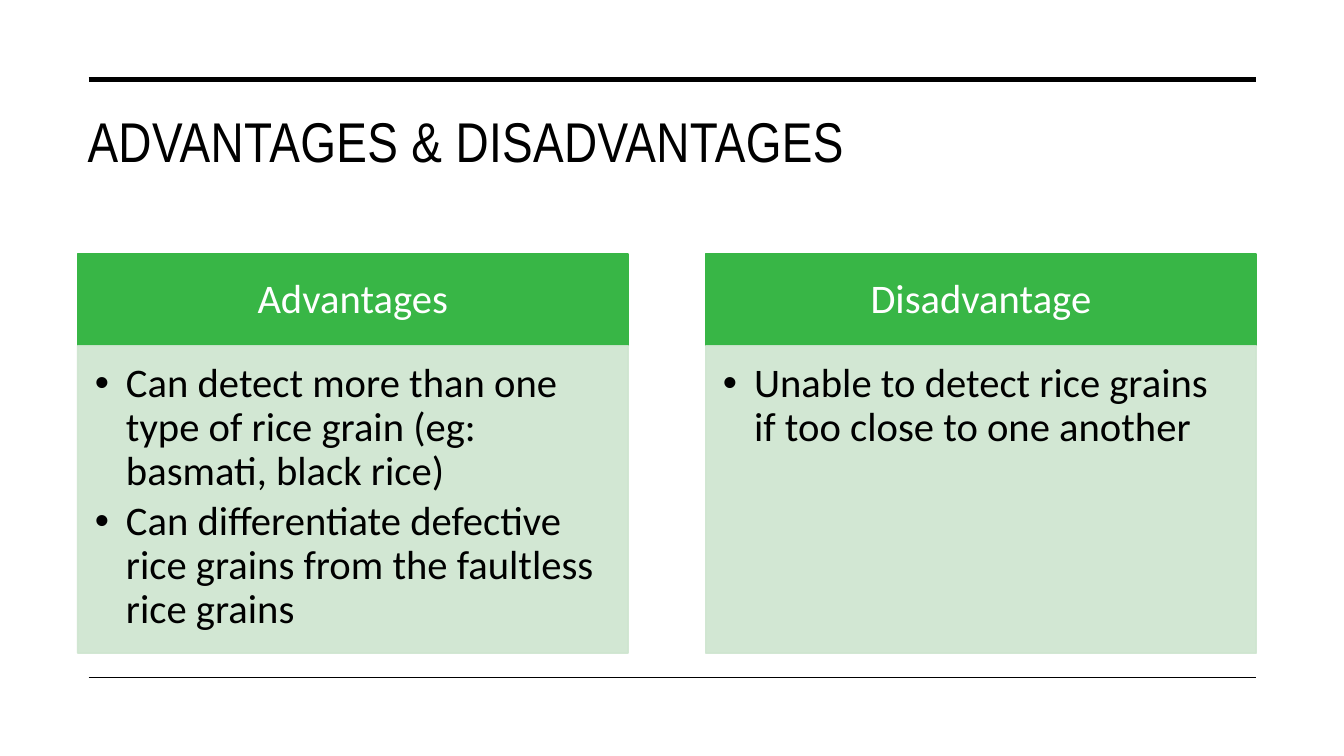
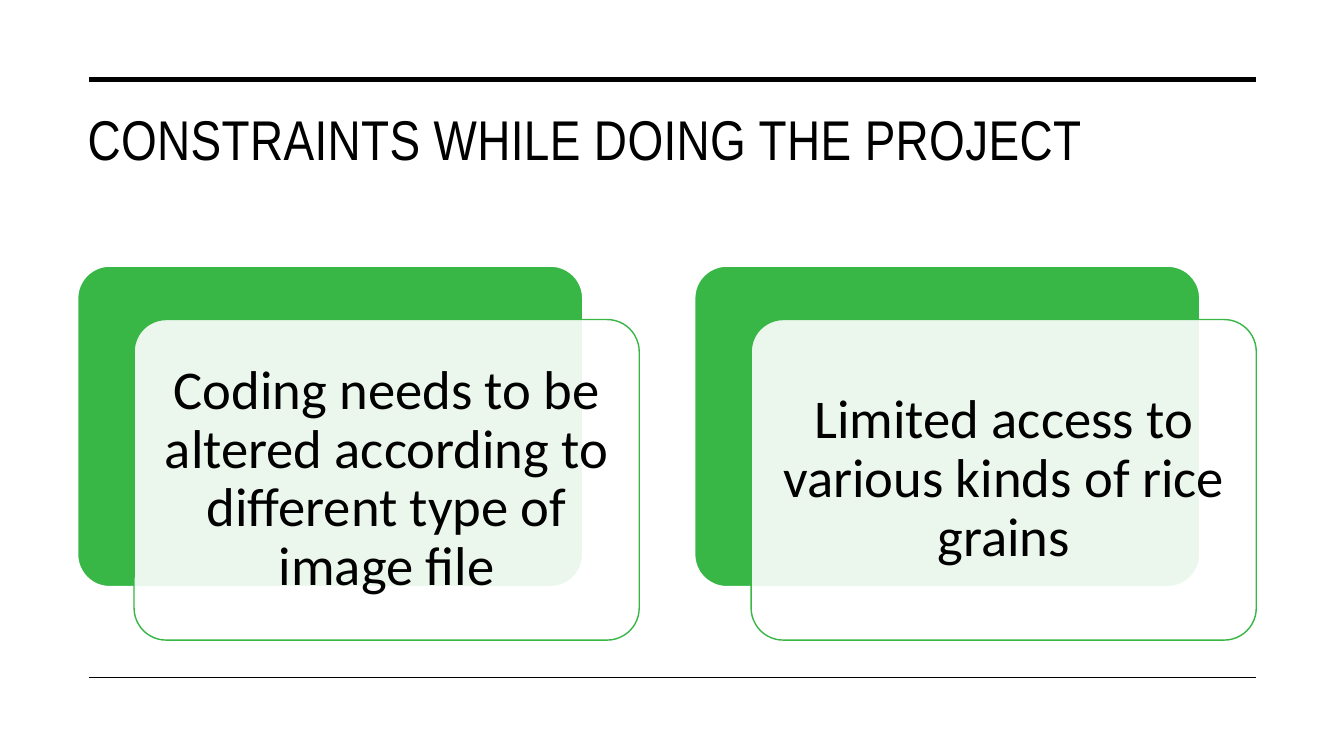
"""Build two slides on the advantages and constraints of a rice grain detector."""
import pptx
import pptx.dml.color
import pptx.enum.shapes
import pptx.enum.text
import pptx.oxml.ns
import pptx.util
from lxml import etree

Inches = pptx.util.Inches
Pt = pptx.util.Pt
qn = pptx.oxml.ns.qn
SHAPES = pptx.enum.shapes.MSO_SHAPE
ALIGN = pptx.enum.text.PP_ALIGN
ANCHOR = pptx.enum.text.MSO_ANCHOR

GREEN, PALE_GREEN, WHITE, BLACK = "38B646", "CEE5CF", "FFFFFF", "000000"
TITLE_FONT, BODY_FONT = "Arial Narrow", "Calibri"
LEFT, RIGHT = 0.77, 12.46
RULE_LEFT = 0.88
RULES = ((0.79, 3.5), (6.72, 1))
BODY_OPACITY = 90

COMPARISON = (
    ("Advantages", (
        "Can detect more than one type of rice grain (eg: basmati, black rice)",
        "Can differentiate defective rice grains from the faultless rice grains",
    )),
    ("Disadvantage", (
        "Unable to detect rice grains if too close to one another",
    )),
)
CONSTRAINTS = (
    "Coding needs to be altered according to different type of image file",
    "Limited access to various kinds of rice grains",
)


def rgb(value):
    """Turn a hex string into a colour."""
    return pptx.dml.color.RGBColor.from_string(value)


def add_rule(slide, top, weight):
    """Draw a horizontal black rule across the content width."""
    rule = slide.shapes.add_connector(
        pptx.enum.shapes.MSO_CONNECTOR.STRAIGHT,
        Inches(RULE_LEFT), Inches(top), Inches(RIGHT), Inches(top))
    rule.line.color.rgb = rgb(BLACK)
    rule.line.width = Pt(weight)
    etree.SubElement(rule._element.spPr, qn("a:effectLst"))


def set_opacity(holder, percent):
    """Make the solid fill directly inside an XML element translucent."""
    color = holder.find(qn("a:solidFill")).find(qn("a:srgbClr"))
    etree.SubElement(color, qn("a:alpha")).set("val", str(percent * 1000))


def add_panel(slide, kind, box, fill, line):
    """Add a filled preset shape with a one point outline."""
    panel = slide.shapes.add_shape(kind, *map(Inches, box))
    panel.shadow.inherit = False
    panel.fill.solid()
    panel.fill.fore_color.rgb = rgb(fill)
    panel.line.color.rgb = rgb(line)
    panel.line.width = Pt(1)
    return panel


def set_insets(frame, insets):
    """Set the left, top, right and bottom insets and wrap the text."""
    frame.word_wrap = True
    (frame.margin_left, frame.margin_top,
     frame.margin_right, frame.margin_bottom) = map(Inches, insets)


def style_runs(paragraph, font, size, color):
    """Give every run of a paragraph its font, size and colour."""
    for run in paragraph.runs:
        run.font.name = font
        run.font.size = Pt(size)
        run.font.color.rgb = rgb(color)


def write_centred(panel, text, size, color, insets):
    """Write one centred paragraph in the middle of a panel."""
    frame = panel.text_frame
    set_insets(frame, insets)
    frame.vertical_anchor = ANCHOR.MIDDLE
    frame.text = text
    paragraph = frame.paragraphs[0]
    paragraph.alignment = ALIGN.CENTER
    paragraph.line_spacing = 0.9
    style_runs(paragraph, BODY_FONT, size, color)


def write_bullets(panel, points, size):
    """Write a bulleted list from the top of a panel."""
    frame = panel.text_frame
    set_insets(frame, (0.17, 0.17, 0.23, 0.25))
    frame.vertical_anchor = ANCHOR.TOP
    frame.text = "\n".join(points)
    for paragraph in frame.paragraphs:
        properties = paragraph._p.get_or_add_pPr()
        properties.set("marL", str(Inches(0.31)))
        properties.set("indent", str(-Inches(0.31)))
        etree.SubElement(properties, qn("a:buFont")).set("typeface", "Arial")
        etree.SubElement(properties, qn("a:buChar")).set("char", "•")
        paragraph.alignment = ALIGN.LEFT
        paragraph.line_spacing = 0.9
        paragraph.space_after = Pt(size * 0.15)
        style_runs(paragraph, BODY_FONT, size, BLACK)


def add_titled_slide(deck, title, top):
    """Add a blank slide with its two rules and title."""
    slide = deck.slides.add_slide(deck.slide_layouts[6])
    for rule_top, weight in RULES:
        add_rule(slide, rule_top, weight)
    heading = slide.shapes.add_textbox(
        Inches(LEFT), Inches(top), Inches(RIGHT - LEFT), Inches(1.26))
    frame = heading.text_frame
    set_insets(frame, (0.1, 0.05, 0.1, 0.05))
    frame.text = title
    style_runs(frame.paragraphs[0], TITLE_FONT, 40, BLACK)
    frame.paragraphs[0].runs[0]._r.get_or_add_rPr().set("spc", "30")
    return slide


def column_lefts(count, width):
    """Spread columns of one width evenly over the content."""
    step = (RIGHT - LEFT - width) / (count - 1)
    return [LEFT + step * index for index in range(count)]


def add_comparison(slide):
    """Add a headed bullet column for each side of the comparison."""
    width, top, header_height, body_height = 5.46, 2.52, 0.91, 3.05
    lefts = column_lefts(len(COMPARISON), width)
    for left, (heading, points) in zip(lefts, COMPARISON):
        header = add_panel(slide, SHAPES.RECTANGLE,
                           (left, top, width, header_height), GREEN, GREEN)
        write_centred(header, heading, 29, WHITE, (0.23, 0.13, 0.23, 0.13))
        body = add_panel(slide, SHAPES.RECTANGLE,
                         (left, top + header_height, width, body_height),
                         PALE_GREEN, PALE_GREEN)
        properties = body._element.spPr
        set_opacity(properties, BODY_OPACITY)
        set_opacity(properties.find(qn("a:ln")), BODY_OPACITY)
        write_bullets(body, points, 29)


def add_constraints(slide):
    """Add a translucent card over a green backing for each constraint."""
    width, height, top = 5.01, 3.18, 2.64
    shift_right, shift_down = 0.56, 0.53
    lefts = column_lefts(len(CONSTRAINTS), width + shift_right)
    for left, constraint in zip(lefts, CONSTRAINTS):
        backing = add_panel(slide, SHAPES.ROUNDED_RECTANGLE,
                            (left, top, width, height), GREEN, WHITE)
        card = add_panel(slide, SHAPES.ROUNDED_RECTANGLE,
                         (left + shift_right, top + shift_down, width, height),
                         WHITE, GREEN)
        for panel in (backing, card):
            panel.adjustments[0] = 0.1
        set_opacity(card._element.spPr, BODY_OPACITY)
        write_centred(card, constraint, 39, BLACK, (0.16,) * 4)


def main():
    """Build and save the deck."""
    deck = pptx.Presentation()
    deck.slide_width = Inches(13.33)
    deck.slide_height = Inches(7.5)
    add_comparison(add_titled_slide(deck, "ADVANTAGES & DISADVANTAGES", 1.01))
    add_constraints(
        add_titled_slide(deck, "CONSTRAINTS WHILE DOING THE PROJECT", 0.99))
    deck.save("out.pptx")


if __name__ == "__main__":
    main()
